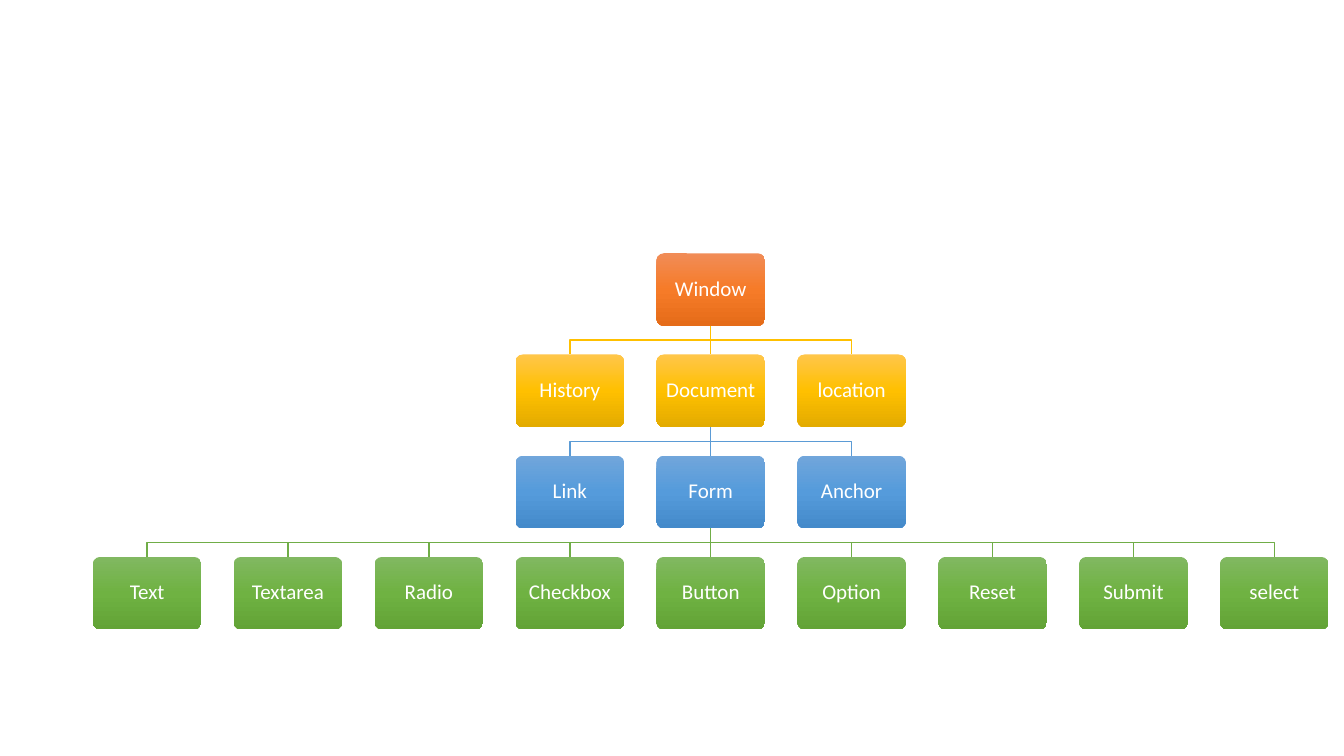
from copy import deepcopy

from lxml import etree
from pptx import Presentation
from pptx import util as u
from pptx.dml import color
from pptx.enum import shapes, text
from pptx.oxml import ns

COLORS = {
    "text": "FFFFFF",
    "orange": ("F18C57", "F67B28", "E56C19"),
    "gold": ("FFC64B", "FFC000", "E3AB00"),
    "blue": ("71A6DB", "559BDB", "448ACA"),
    "green": ("81B861", "6FB242", "62A336"),
    "gold_line": "FFC000",
    "blue_line": "5B9BD5",
    "green_line": "70AD47",
}
LEVELS = [
    ("orange", ["Window"]),
    ("gold", ["History", "Document", "location"]),
    ("blue", ["Link", "Form", "Anchor"]),
    ("green", ["Text", "Textarea", "Radio", "Checkbox", "Button",
               "Option", "Reset", "Submit", "select"]),
]
CENTER, TOP = 507.7, 180.9
BOX_WIDTH, BOX_HEIGHT = 77.5, 51.8
COLUMN_STEP, ROW_STEP = 100.65, 72.3


class TreeSlide:
    """Draws the boxes and branches of an object tree on one slide."""

    def __init__(self, slide):
        self.slide = slide
        self.font_name = "Calibri"
        self.font_size = u.Pt(15)
        self.line_width = u.Pt(1)
        self.inset = u.Pt(3.5)

    def box(self, label, center, top, palette):
        shape = self.slide.shapes.add_shape(
            shapes.MSO_SHAPE.ROUNDED_RECTANGLE, u.Pt(center - BOX_WIDTH / 2),
            u.Pt(top), u.Pt(BOX_WIDTH), u.Pt(BOX_HEIGHT))
        shape.adjustments[0] = 0.1
        shape.shadow.inherit = False
        shape.line.fill.background()
        self.gradient(shape, COLORS[palette])
        frame = shape.text_frame
        frame.word_wrap = True
        frame.vertical_anchor = text.MSO_ANCHOR.MIDDLE
        frame.margin_left = frame.margin_right = self.inset
        frame.margin_top = frame.margin_bottom = self.inset
        paragraph = frame.paragraphs[0]
        paragraph.text = label
        paragraph.alignment = text.PP_ALIGN.CENTER
        paragraph.line_spacing = 0.9
        paragraph.space_after = u.Pt(5.25)
        paragraph.font.name = self.font_name
        paragraph.font.size = self.font_size
        paragraph.font.color.rgb = color.RGBColor.from_string(COLORS["text"])
        return shape

    def gradient(self, shape, tones):
        shape.fill.gradient()
        shape.fill.gradient_angle = 270
        stop_list = shape.element.spPr.find(".//" + ns.qn("a:gsLst"))
        stop_list.append(deepcopy(stop_list[-1]))
        for index, (stop, tone) in enumerate(zip(shape.fill.gradient_stops, tones)):
            stop.position = index / 2
            stop.color.rgb = color.RGBColor.from_string(tone)

    def style_line(self, shape, line_color):
        shape.line.color.rgb = color.RGBColor.from_string(COLORS[line_color])
        shape.line.width = self.line_width

    def stem(self, parent, child, line_color):
        connector = self.slide.shapes.add_connector(
            shapes.MSO_CONNECTOR.STRAIGHT, 0, 0, 0, 0)
        connector.begin_connect(parent, 2)
        connector.end_connect(child, 0)
        self.style_line(connector, line_color)
        etree.SubElement(connector.element.spPr, ns.qn("a:effectLst"))

    def branch(self, parent, child, line_color):
        start_x = parent.left + parent.width // 2
        start_y = parent.top + parent.height
        end_x = child.left + child.width // 2
        middle_y = (start_y + child.top) // 2
        builder = self.slide.shapes.build_freeform(start_x, start_y)
        builder.add_line_segments(
            [(start_x, middle_y), (end_x, middle_y), (end_x, child.top)], close=False)
        shape = builder.convert_to_shape()
        shape.fill.background()
        shape.shadow.inherit = False
        self.style_line(shape, line_color)


def main():
    presentation = Presentation()
    presentation.slide_width, presentation.slide_height = u.Pt(960), u.Pt(540)
    tree = TreeSlide(presentation.slides.add_slide(presentation.slide_layouts[6]))
    parent = None
    for row, (palette, labels) in enumerate(LEVELS):
        middle = len(labels) // 2
        boxes = [
            tree.box(label, CENTER + (column - middle) * COLUMN_STEP,
                     TOP + row * ROW_STEP, palette)
            for column, label in enumerate(labels)
        ]
        if parent is not None:
            for column, child in enumerate(boxes):
                join = tree.stem if column == middle else tree.branch
                join(parent, child, palette + "_line")
        parent = boxes[middle]
    presentation.save("out.pptx")


if __name__ == "__main__":
    main()
